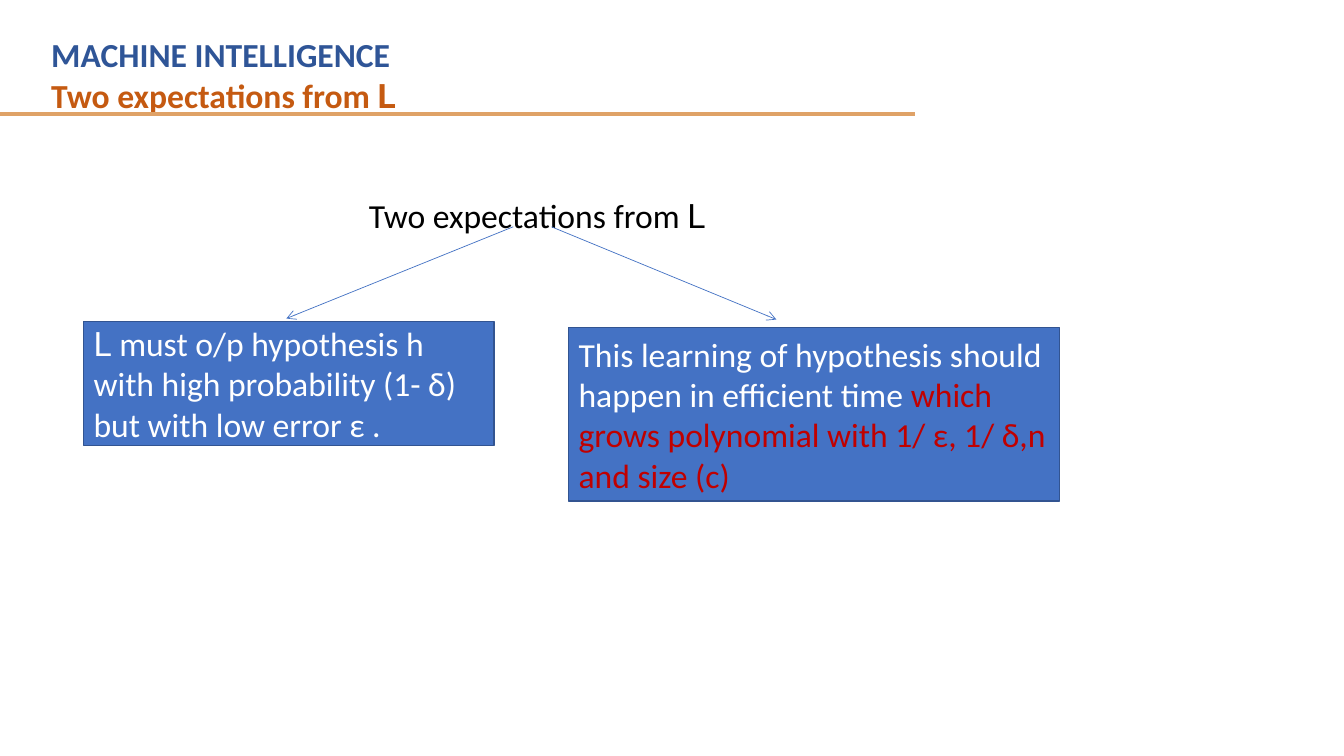
import pptx
import pptx.util
import pptx.dml.color
import pptx.enum.shapes
import pptx.enum.text
from lxml import etree

HUES = {"navy": "2F5597", "rust": "C55A11", "sand": "DFA267", "blue": "4472C4",
        "edge": "325491", "red": "C00000", "white": "FFFFFF", "black": "000000"}
BODY, SIGN = "Calibri", "Roboto"

# Each paragraph is a list of runs: text, font, colour
HEAD = [[("MACHINE INTELLIGENCE", BODY, "navy")],
        [("Two expectations from ", BODY, "rust"), ("L", SIGN, "rust")]]
ROOT = [[("Two expectations from ", BODY, "black"), ("L", SIGN, "black")]]
GOALS = [
    ((0.83, 3.19, 4.07, 1.23),
     [[("L", SIGN, "white"),
       (" must o/p hypothesis h with high probability (1- δ) "
        "but with low error ε .", BODY, "white")]]),
    ((5.64, 3.25, 4.87, 1.72),
     [[("This learning of hypothesis should happen in efficient time ", BODY, "white"),
       ("which grows polynomial with 1/ ε, 1/ δ,n and size (c)", BODY, "red")]]),
]
# Start, end, colour, width in points, arrowhead
LINES = [((0, 1.13), (9.08, 1.13), "sand", 3, False),
         ((5.09, 2.25), (2.84, 3.16), "blue", 0.5, True),
         ((5.47, 2.25), (7.7, 3.17), "blue", 0.5, True)]

inch = pptx.util.Inches
deck = pptx.Presentation()
deck.slide_width, deck.slide_height = inch(13.33), inch(7.5)
slide = deck.slides.add_slide(deck.slide_layouts[6])


def hue(name):
    return pptx.dml.color.RGBColor.from_string(HUES[name])


def write(shape, paras, bold=False, wrap=True):
    frame = shape.text_frame
    frame.word_wrap = wrap
    for i, runs in enumerate(paras):
        para = frame.add_paragraph() if i else frame.paragraphs[0]
        para.alignment = pptx.enum.text.PP_ALIGN.LEFT
        para.font.size = pptx.util.Pt(24)
        para.font.bold = bold
        for text, face, tint in runs:
            run = para.add_run()
            run.text = text
            run.font.name = face
            run.font.color.rgb = hue(tint)


def label(place, paras, **style):
    write(slide.shapes.add_textbox(*map(inch, place)), paras, **style)


def box(place, paras):
    rect = slide.shapes.add_shape(
        pptx.enum.shapes.MSO_SHAPE.RECTANGLE, *map(inch, place))
    rect.shadow.inherit = False
    rect.fill.solid()
    rect.fill.fore_color.rgb = hue("blue")
    rect.line.color.rgb = hue("edge")
    rect.line.width = pptx.util.Pt(1)
    rect.text_frame.vertical_anchor = pptx.enum.text.MSO_ANCHOR.MIDDLE
    write(rect, paras)


def link(start, end, tint, width, arrow):
    line = slide.shapes.add_connector(
        pptx.enum.shapes.MSO_CONNECTOR.STRAIGHT, *map(inch, start + end))
    line.line.color.rgb = hue(tint)
    line.line.width = pptx.util.Pt(width)
    space = "{http://schemas.openxmlformats.org/drawingml/2006/main}"
    if arrow:
        etree.SubElement(line.line._get_or_add_ln(), space + "tailEnd", type="arrow")
    etree.SubElement(line._element.spPr, space + "effectLst")


label((0.41, 0.29, 9.11, 0.91), HEAD, bold=True)
label((3.56, 1.88, 3.71, 0.5), ROOT, wrap=False)
for row in LINES:
    link(*row)
for place, paras in GOALS:
    box(place, paras)

deck.save("out.pptx")
